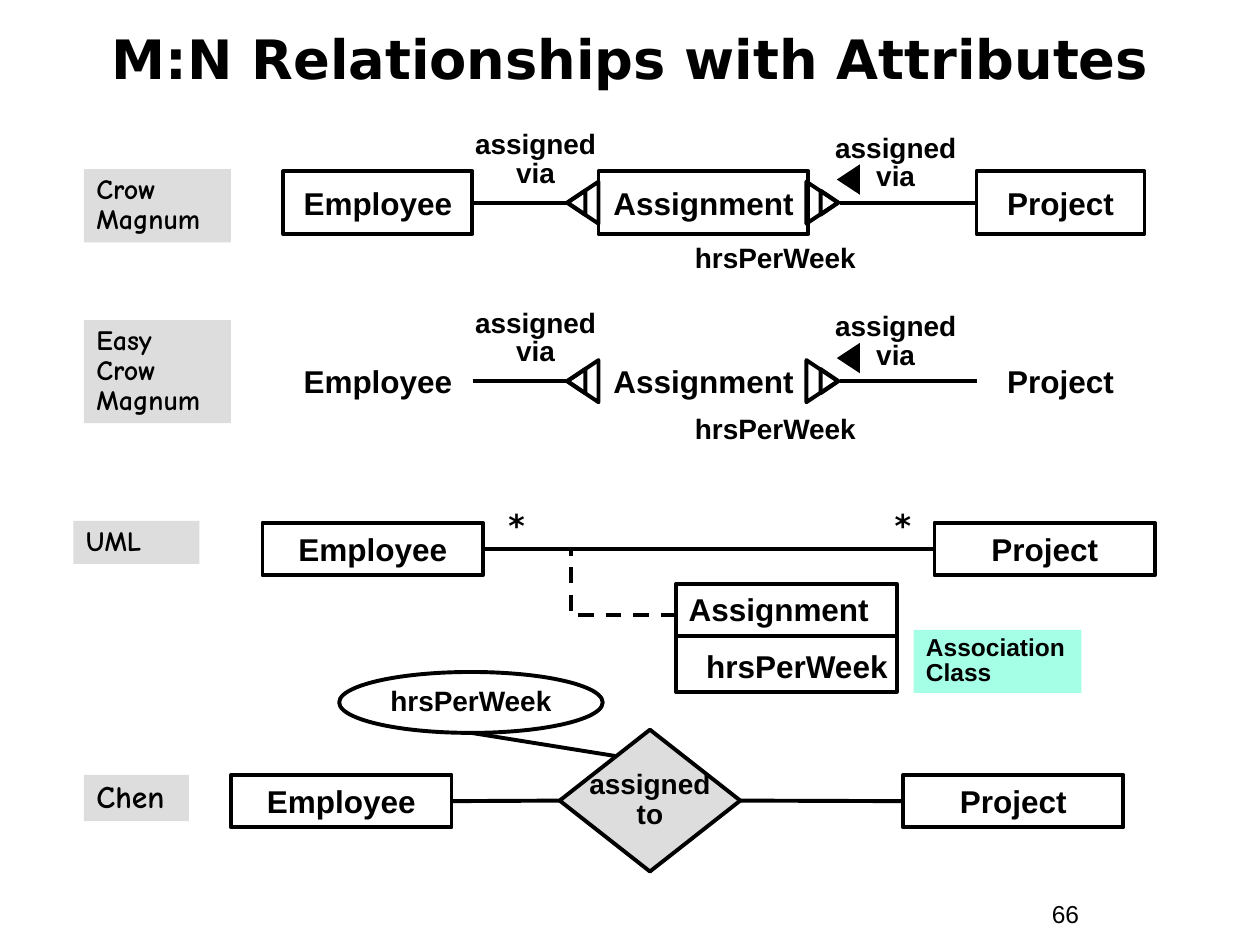
from pptx import Presentation, util as u
from pptx.dml.color import RGBColor
from pptx.enum import dml, shapes, text
from pptx.oxml.ns import qn
from lxml import etree

BLACK = RGBColor(0x00, 0x00, 0x00)
WHITE = RGBColor(0xFF, 0xFF, 0xFF)
GRAY = RGBColor(0xDD, 0xDD, 0xDD)
MINT = RGBColor(0xA5, 0xFF, 0xE7)
SANS, HAND, HEADING = "Arial", "Comic Neue", "DejaVu Sans"
COLUMNS, ROWS = 120, 90
KIND = shapes.MSO_SHAPE
LEFT, CENTER = text.PP_ALIGN.LEFT, text.PP_ALIGN.CENTER
TOP, MIDDLE = text.MSO_ANCHOR.TOP, text.MSO_ANCHOR.MIDDLE
LEFT_SIDE, RIGHT_SIDE = 1, 3


class Diagram:
    """Style and current page; lengths are columns and rows of a 120 x 90 grid."""

    line_width = u.Pt(2.25)

    def __init__(self, deck):
        self.cell_width = deck.slide_width / COLUMNS
        self.cell_height = deck.slide_height / ROWS
        self.page = deck.slides.add_slide(deck.slide_layouts[5])

    def place(self, column, row):
        return round(column * self.cell_width), round(row * self.cell_height)

    def fill_text(self, frame, lines, size, font=SANS, bold=True, align=CENTER,
                  anchor=TOP, spacing=None, wrap=True):
        frame.word_wrap = wrap
        frame.auto_size = text.MSO_AUTO_SIZE.NONE
        frame.vertical_anchor = anchor
        para = frame.paragraphs[0]
        para.alignment = align
        if spacing:
            para.line_spacing = spacing
        for number, line in enumerate(lines.split("\n")):
            if number:
                para.add_line_break()
            self.add_span(para, line, size, font, bold)

    def add_span(self, para, line, size, font=SANS, bold=True):
        span = para.add_run()
        span.text = line
        span.font.size, span.font.name = u.Pt(size), font
        span.font.bold, span.font.color.rgb = bold, BLACK

    def title(self, words):
        box = self.page.shapes.title
        box.left, box.top = self.place(4, 1)
        box.width, box.height = self.place(112, 9)
        self.fill_text(box.text_frame, words, 31, HEADING, anchor=MIDDLE)

    def shape(self, kind, column, row, width, height, fill=None, outlined=True):
        shape = self.page.shapes.add_shape(
            kind, *self.place(column, row), *self.place(width, height))
        shape.shadow.inherit = False
        if fill is None:
            shape.fill.background()
        else:
            shape.fill.solid()
            shape.fill.fore_color.rgb = fill
        if outlined:
            shape.line.color.rgb = BLACK
            shape.line.width = self.line_width
        else:
            shape.line.fill.background()
        return shape

    def label(self, words, column, row, width, height, size=16, **style):
        box = self.page.shapes.add_textbox(
            *self.place(column, row), *self.place(width, height))
        self.fill_text(box.text_frame, words, size, **style)
        return box

    def entity(self, name, column, row, width, height, boxed=True):
        style = dict(size=18, anchor=MIDDLE, wrap=False)
        if not boxed:
            return self.label(name, column, row, width, height, **style)
        box = self.shape(KIND.RECTANGLE, column, row, width, height)
        self.fill_text(box.text_frame, name, **style)
        return box

    def tag(self, words, column, row, width, height, size=16, font=HAND,
            fill=GRAY, spacing=0.9):
        box = self.shape(KIND.RECTANGLE, column, row, width, height, fill, outlined=False)
        self.fill_text(box.text_frame, words, size, font, align=LEFT, spacing=spacing)

    def triangle(self, x, y, base, depth, turn, fill=None):
        """Draw a triangle centred at x, y; a turn of 90 points right, 270 left."""
        mark = self.shape(KIND.ISOSCELES_TRIANGLE, x - base / 2, y - depth / 2,
                          base, depth, fill, outlined=fill is None)
        mark.rotation = turn

    def line(self, start, end, source=None, target=None, elbow=False):
        kind = shapes.MSO_CONNECTOR.ELBOW if elbow else shapes.MSO_CONNECTOR.STRAIGHT
        line = self.page.shapes.add_connector(kind, *self.place(*start), *self.place(*end))
        if source:
            line.begin_connect(*source)
        if target:
            line.end_connect(*target)
        line.line.color.rgb = BLACK
        line.line.width = self.line_width
        properties = line._element.spPr
        if elbow:
            properties.find(qn("a:prstGeom")).set("prst", "bentConnector2")
            line.line.dash_style = dml.MSO_LINE.DASH
        etree.SubElement(properties, qn("a:effectLst"))

    def crow_row(self, row, attribute_row, boxed):
        employee = self.entity("Employee", 27, row, 18, 6, boxed)
        self.entity("Assignment", 57, row, 20, 6, boxed)
        project = self.entity("Project", 93, row, 16, 6, boxed)
        self.label("hrsPerWeek", 65, attribute_row, 20, 4, align=LEFT, spacing=0.9)
        middle = row + 3
        self.line((45, middle), (54, middle), source=(employee, RIGHT_SIDE))
        self.line((93, middle), (80, middle), source=(project, LEFT_SIDE))
        for column, rise in ((43, 4.3), (77.3, 4)):
            self.label("assigned via", column, row - rise, 16, 6.7, spacing=0.85)
        self.triangle(80.8, row + 0.8, 2.9, 2.2, 270, BLACK)
        for x, inner_x, turn in ((78.3, 79, 90), (55.5, 54.9, 270)):
            self.triangle(x, middle, 4, 3, turn)
            self.triangle(inner_x, middle, 2.3, 1.7, turn)

    def employee_and_project(self, column, row):
        return [self.entity(name, column + shift, row, 21, 5)
                for name, shift in (("Employee", 0), ("Project", 64))]

    def association_class(self, column, row):
        box = self.shape(KIND.RECTANGLE, column, row, 21, 10.3)
        self.fill_text(box.text_frame, "Assignment", 18, align=LEFT, wrap=False)
        para = box.text_frame.add_paragraph()
        para.alignment, para.space_before = LEFT, u.Pt(11.2)
        para._p.get_or_add_pPr().set("marL", str(u.Pt(10)))
        self.add_span(para, "hrsPerWeek", 18)
        self.line((column, row + 5), (column + 21, row + 5))
        self.line((column, row + 3), (column - 10, row - 3.3), elbow=True)

    def uml(self, row):
        self.tag("UML", 7, row - 0.2, 12, 4.1)
        employee, project = self.employee_and_project(25, row)
        self.line((46, row + 2.5), (89, row + 2.5),
                  (employee, RIGHT_SIDE), (project, LEFT_SIDE))
        for column, width in ((44.2, 10), (83, 6)):
            self.label("*", column, row - 1.8, width, 4.4, 18, font=HEADING, spacing=0.9)
        self.association_class(64.4, row + 5.8)
        self.tag("Association Class", 87, row + 10.2, 16, 6, 14, SANS, MINT, 0.85)

    def chen(self, row):
        self.tag("Chen", 8, row, 10, 4.4, 18)
        employee, project = self.employee_and_project(22, row)
        relation = self.shape(KIND.FLOWCHART_DECISION, 53.3, row - 4.3, 17.2, 13.5, GRAY)
        self.fill_text(relation.text_frame, "assigned\nto", 16, anchor=MIDDLE,
                       spacing=0.9, wrap=False)
        middle = row + 2.5
        self.line((43, middle), (53.3, middle),
                  (employee, RIGHT_SIDE), (relation, LEFT_SIDE))
        self.line((70.5, middle), (86, middle),
                  (relation, RIGHT_SIDE), (project, LEFT_SIDE))
        attribute = self.shape(KIND.OVAL, 32.3, row - 9.8, 25.1, 5.8, WHITE)
        self.fill_text(attribute.text_frame, "hrsPerWeek", 16, anchor=MIDDLE,
                       spacing=0.9, wrap=False)
        self.line((44.9, row - 4), (58.6, row - 1.8))


def main():
    deck = Presentation()
    deck.slide_width, deck.slide_height = u.Inches(10), u.Inches(7.5)
    diagram = Diagram(deck)
    diagram.title("M:N Relationships with Attributes")
    diagram.tag("Crow\nMagnum", 8, 16.1, 14, 7)
    diagram.crow_row(16.3, 22.7, boxed=True)
    diagram.tag("Easy\nCrow\nMagnum", 8, 30.5, 14, 9.8)
    diagram.crow_row(33.3, 39, boxed=False)
    diagram.uml(49.8)
    diagram.chen(73.8)
    diagram.label("66", 99, 85, 11, 4, 14, bold=False, align=LEFT)
    deck.save("out.pptx")


if __name__ == "__main__":
    main()
